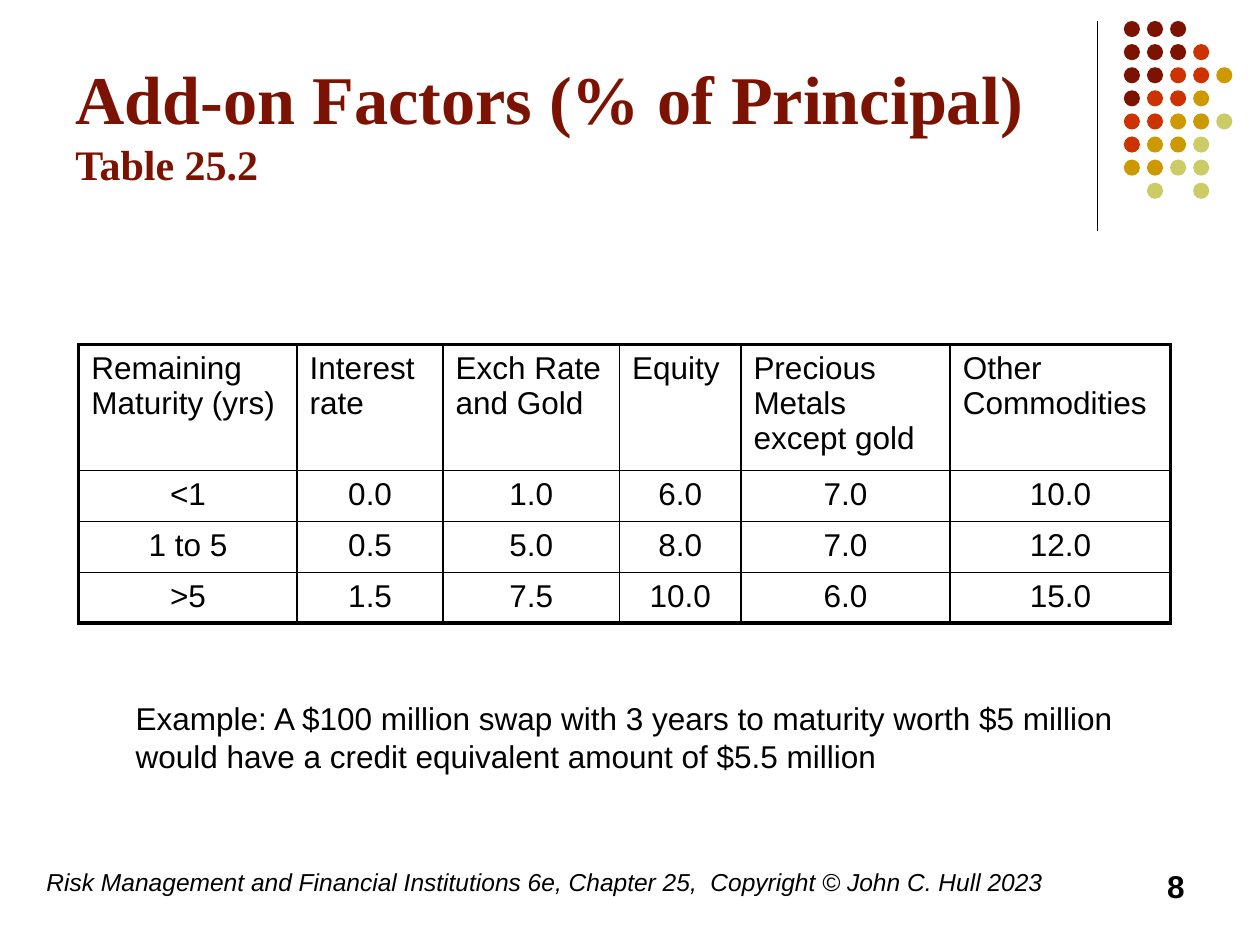
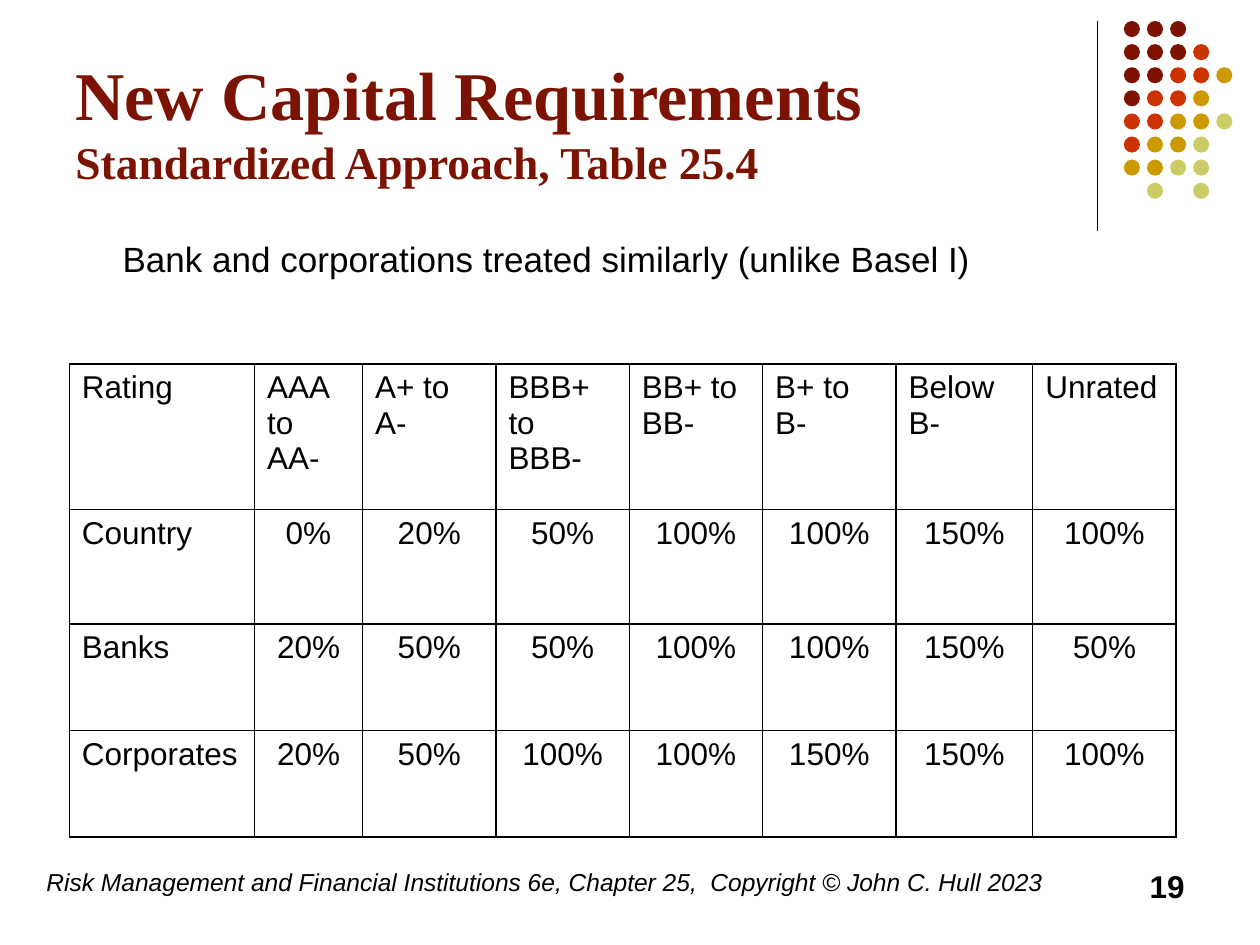
from lxml.etree import SubElement
from pptx import Presentation
from pptx.dml.color import RGBColor
from pptx.enum.shapes import MSO_CONNECTOR, MSO_SHAPE
from pptx.enum.text import MSO_ANCHOR, PP_ALIGN
from pptx.oxml.ns import qn
from pptx.util import Pt

HUES = {"D": "7C1302", "R": "CC3300", "G": "CC9900", "L": "CCCC66", "ink": "000000"}
SANS, SERIF = "Arial", "Times New Roman"
DOTS = ["DDD", "DDDR", "DDRRG", "DRRG", "RRGGL", "RGGL", "GGLL", " L L"]
CREDIT = ("Risk Management and Financial Institutions 6e, Chapter 25,  "
          "Copyright © John C. Hull 2023")

# Boxes: left, top, width, height
HEAD = (36, 9.5, 594, 102)
MOTIF = (627, 12, 77, 120)
BODY = (36, 135, 648, 347)
NOTE = (70.5, 396, 601, 50.5)
FOOT = (19.5, 492, 664.5, 36)

ADDONS = [
    ["Remaining Maturity (yrs)", "Interest rate", "Exch Rate and Gold", "Equity",
     "Precious Metals except gold", "Other Commodities"],
    ["<1", "0.0", "1.0", "6.0", "7.0", "10.0"],
    ["1 to 5", "0.5", "5.0", "8.0", "7.0", "12.0"],
    [">5", "1.5", "7.5", "10.0", "6.0", "15.0"],
]
WEIGHTS = [
    ["Rating", "AAA to AA-", "A+ to A-", "BBB+ to BBB-", "BB+ to BB-", "B+ to B-",
     "Below B-", "Unrated"],
    ["Country", "0%", "20%", "50%", "100%", "100%", "150%", "100%"],
    ["Banks", "20%", "50%", "50%", "100%", "100%", "150%", "50%"],
    ["Corporates", "20%", "50%", "100%", "100%", "150%", "150%", "100%"],
]


def tint(key):
    return RGBColor.from_string(HUES[key])


def set_font(font, size, hue="ink", name=SANS, bold=False, slant=False):
    font.name, font.size, font.bold, font.italic = name, Pt(size), bold, slant
    font.color.rgb = tint(hue)


def add_box(slide, box):
    frame = slide.shapes.add_textbox(*map(Pt, box)).text_frame
    frame.word_wrap = True
    return frame


def add_text(slide, box, text, size, align=PP_ALIGN.LEFT, **style):
    line = add_box(slide, box).paragraphs[0]
    line.text, line.alignment = text, align
    set_font(line.font, size, **style)
    return line


def add_title(slide, box, main, sub, size):
    frame = add_box(slide, box)
    frame.vertical_anchor = MSO_ANCHOR.BOTTOM
    line = frame.paragraphs[0]
    set_font(line.font, 39, "D", SERIF, bold=True)
    for text, points in ((main, 39), (sub, size)):
        if text == sub:
            line.add_line_break()
        run = line.add_run()
        run.text = text
        set_font(run.font, points, "D", SERIF, bold=True)


def add_motif(slide, box):
    left, top, _, high = box
    # Vertical rule
    rule = slide.shapes.add_connector(
        MSO_CONNECTOR.STRAIGHT, Pt(left), Pt(top), Pt(left), Pt(top + high))
    rule.line.color.rgb, rule.line.width = tint("ink"), Pt(0.75)
    SubElement(rule._element.spPr, qn("a:effectLst"))
    # Dot grid
    step, size = 13.2, 9.2
    group = slide.shapes.add_group_shape()
    for row, keys in enumerate(DOTS):
        for col, key in enumerate(keys):
            if key == " ":
                continue
            dot = group.shapes.add_shape(
                MSO_SHAPE.OVAL, Pt(left + 15.2 + col * step), Pt(top + row * step),
                Pt(size), Pt(size))
            dot.shadow.inherit = False
            dot.fill.solid()
            dot.fill.fore_color.rgb = tint(key)
            dot.line.fill.background()


def add_foot(slide, box, page):
    left, top, wide, high = box
    add_text(slide, (left, top, 595.5, high), CREDIT, 14, slant=True)
    add_text(slide, (left + wide - 168, top, 168, high), page, 18,
             PP_ALIGN.RIGHT, bold=True)


def add_edge(cell, side, width):
    edge = SubElement(cell._tc.get_or_add_tcPr(), qn("a:ln" + side), w=str(Pt(width)))
    fill = SubElement(edge, qn("a:solidFill"))
    SubElement(fill, qn("a:srgbClr"), val=HUES["ink"])


def add_grid(slide, spot, rows, wides, highs, heads, rim=1):
    """Draw a ruled table; the first `heads` columns of its body are left-aligned."""
    size = (len(rows), len(wides))
    table = slide.shapes.add_table(
        *size, *map(Pt, spot), Pt(sum(wides)), Pt(sum(highs))).table
    table.first_row = table.horz_banding = False
    for col, wide in zip(table.columns, wides):
        col.width = Pt(wide)
    for row, high in zip(table.rows, highs):
        row.height = Pt(high)
    for y, texts in enumerate(rows):
        for x, text in enumerate(texts):
            cell = table.cell(y, x)
            outer = {"L": x == 0, "R": x == size[1] - 1,
                     "T": y == 0, "B": y == size[0] - 1}
            for side, is_rim in outer.items():
                add_edge(cell, side, rim if is_rim else 1)
            cell.fill.background()
            line = cell.text_frame.paragraphs[0]
            line.text = text
            flush = y == 0 or x < heads
            line.alignment = PP_ALIGN.LEFT if flush else PP_ALIGN.CENTER
            set_font(line.font, 18)


def add_slide(deck, main, sub, size, page):
    slide = deck.slides.add_slide(deck.slide_layouts[6])
    add_motif(slide, MOTIF)
    add_title(slide, HEAD, main, sub, size)
    add_foot(slide, FOOT, page)
    return slide


def add_factors(deck):
    slide = add_slide(deck, "Add-on Factors (% of Principal)", "Table 25.2", 24, "8")
    add_grid(slide, (45, 196.8), ADDONS, [124.8, 83.4, 100.8, 69.4, 119.6, 126],
             [72, 29.2, 29, 29], heads=0, rim=2.25)
    add_text(slide, NOTE, "Example: A $100 million swap with 3 years to maturity worth "
             "$5 million would have a credit equivalent amount of $5.5 million", 18)


def add_capital(deck):
    slide = add_slide(deck, "New Capital Requirements",
                      "Standardized Approach, Table 25.4", 26, "19")
    line = add_text(slide, BODY,
                    "Bank and corporations treated similarly (unlike Basel I)", 20)
    line.line_spacing = 0.9
    line._p.get_or_add_pPr().set("marL", str(Pt(27)))
    add_grid(slide, (39.6, 208), WEIGHTS, [105.8, 61.8] + [76.2] * 4 + [78.2, 82],
             [83, 65.6, 61, 60.6], heads=1)


def main():
    deck = Presentation()
    deck.slide_width, deck.slide_height = Pt(720), Pt(540)
    add_factors(deck)
    add_capital(deck)
    deck.save("out.pptx")


if __name__ == "__main__":
    main()
